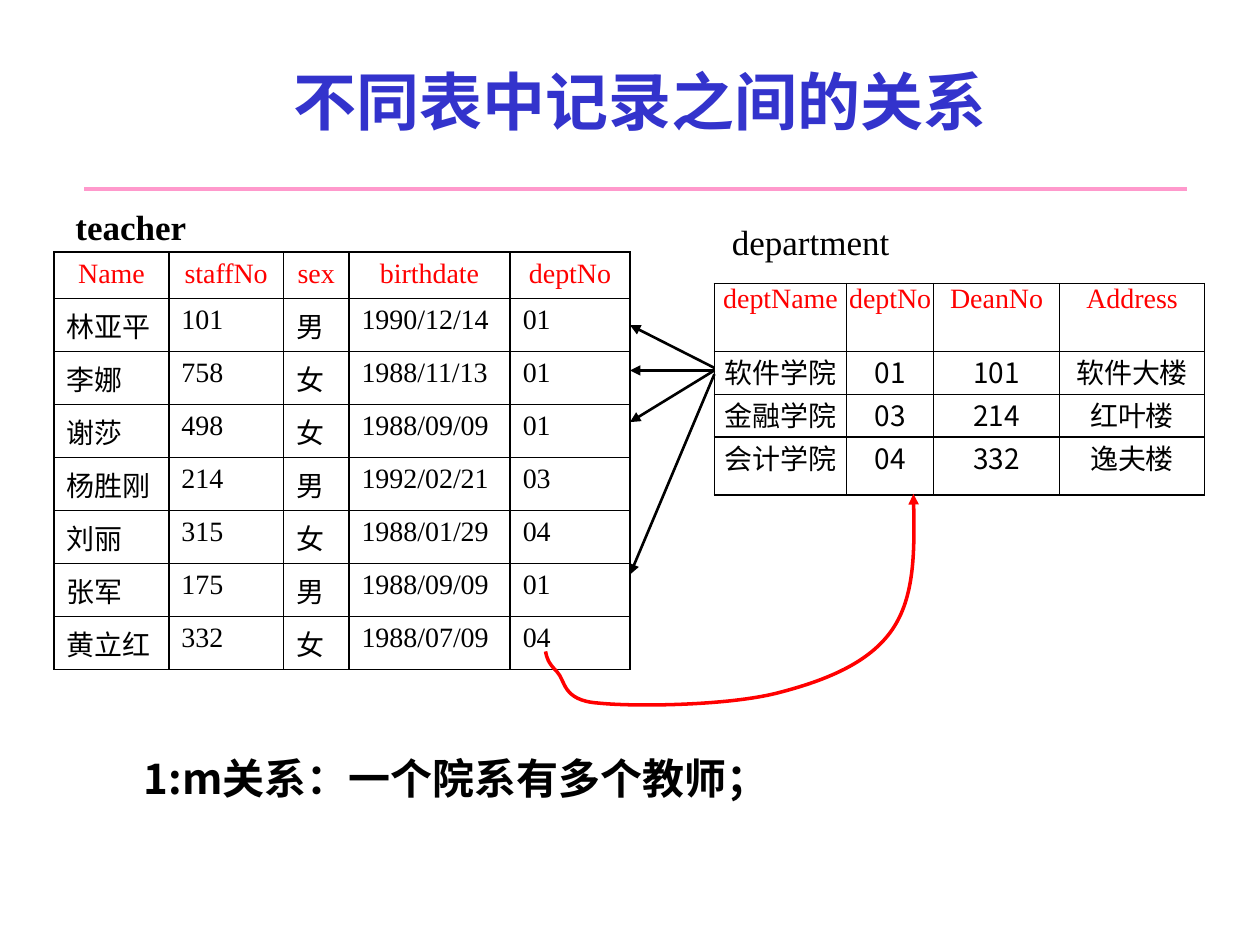
from lxml import etree
from pptx import Presentation
from pptx import util as u
from pptx.dml.color import RGBColor
from pptx.enum import shapes, text
from pptx.oxml import ns

PX = 9144  # EMU per px, 100 px to the inch
COLORS = {"title": "3333CC", "ink": "000000", "red": "FF0000", "rule": "FF99CC"}
SERIF, CJK = "Times New Roman", "Noto Sans CJK SC"
CENTER = text.PP_ALIGN.CENTER

TEACHER = [
    ["Name", "staffNo", "sex", "birthdate", "deptNo"],
    ["林亚平", "101", "男", "1990/12/14", "01"],
    ["李娜", "758", "女", "1988/11/13", "01"],
    ["谢莎", "498", "女", "1988/09/09", "01"],
    ["杨胜刚", "214", "男", "1992/02/21", "03"],
    ["刘丽", "315", "女", "1988/01/29", "04"],
    ["张军", "175", "男", "1988/09/09", "01"],
    ["黄立红", "332", "女", "1988/07/09", "04"],
]
DEPARTMENT = [
    ["deptName", "deptNo", "DeanNo", "Address"],
    ["软件学院", "01", "101", "软件大楼"],
    ["金融学院", "03", "214", "红叶楼"],
    ["会计学院", "04", "332", "逸夫楼"],
]


def px(*values):
    return [u.Emu(value * PX) for value in values]


def rgb(color):
    return RGBColor.from_string(COLORS[color])


def set_all(target, **values):
    for name, value in values.items():
        setattr(target, name, value)


def child(parent, tag, **attributes):
    return etree.SubElement(parent, ns.qn(tag), attributes)


def write(frame, content, size, font=SERIF, color="ink", bold=False, **format):
    para = frame.paragraphs[0]
    set_all(para, **format)
    span = para.add_run()
    span.text = content
    set_all(span.font, size=u.Pt(size), name=font, bold=bold)
    span.font.color.rgb = rgb(color)
    child(span._r.get_or_add_rPr(), "a:ea", typeface=CJK)
    return para


def place(shape, *bounds):
    set_all(shape, **dict(zip(("left", "top", "width", "height"), px(*bounds))))


def add_label(page, content, bounds, **format):
    frame = page.shapes.add_textbox(*px(*bounds)).text_frame
    set_all(frame, word_wrap=True, vertical_anchor=text.MSO_ANCHOR.MIDDLE,
            auto_size=text.MSO_AUTO_SIZE.SHAPE_TO_FIT_TEXT)
    write(frame, content, 20, **format)


def style_line(shape, color, width, end=None):
    shape.line.color.rgb = rgb(color)
    shape.line.width = u.Pt(width)
    if end:
        child(shape.line._get_or_add_ln(), end, type="triangle")


def add_line(page, start, finish, color, width, end=None):
    line = page.shapes.add_connector(shapes.MSO_CONNECTOR.STRAIGHT, *px(*start, *finish))
    style_line(line, color, width, end)
    child(line._element.spPr, "a:effectLst")


def add_curve(page, points):
    """Draw cubic curves through a start point and triples of control points."""
    builder = page.shapes.build_freeform(*points[0], scale=PX)
    builder.add_line_segments(points[1:], close=False)
    curve = builder.convert_to_shape()
    curve.shadow.inherit = False
    curve.fill.background()
    steps = list(curve._element.iter(ns.qn("a:lnTo")))
    outline = steps[0].getparent()
    for first in range(0, len(steps), 3):
        bend = child(outline, "a:cubicBezTo")
        for step in steps[first:first + 3]:
            bend.append(step[0])
            outline.remove(step)
    style_line(curve, "red", 2, "a:tailEnd")


def add_borders(cell):
    properties = cell._tc.get_or_add_tcPr()
    for index, side in enumerate(("a:lnL", "a:lnR", "a:lnT", "a:lnB")):
        border = child(properties, side, w=str(u.Pt(1)))
        child(child(border, "a:solidFill"), "a:srgbClr", val=COLORS["ink"])
        properties.insert(index, border)


def add_records(page, records, corner, widths, heights, margins, body_font, body_align):
    bounds = (*corner, sum(widths), sum(heights))
    table = page.shapes.add_table(len(heights), len(widths), *px(*bounds)).table
    set_all(table, first_row=False, horz_banding=False)
    for column, width in zip(table.columns, px(*widths)):
        column.width = width
    for row, height in zip(table.rows, px(*heights)):
        row.height = height
    side, edge = px(*margins)
    for r, record in enumerate(records):
        for c, value in enumerate(record):
            cell = table.cell(r, c)
            set_all(cell, margin_left=side, margin_right=side,
                    margin_top=edge, margin_bottom=edge)
            cell.fill.background()
            add_borders(cell)
            if r == 0:
                write(cell.text_frame, value, 16, color="red", alignment=CENTER)
            else:
                font = CJK if c == 0 else body_font
                write(cell.text_frame, value, 16, font, alignment=body_align)


def main():
    deck = Presentation()
    deck.slide_width, deck.slide_height = px(1000, 750)
    page = deck.slides.add_slide(deck.slide_layouts[1])

    # Title and the rule below it
    title, body = page.placeholders
    place(title, 83, 17, 850, 125)
    write(title.text_frame, "不同表中记录之间的关系", 36, CJK, "title", True, alignment=CENTER)
    add_line(page, (67, 150), (942, 150), "rule", 2)

    # Statement of the relationship
    place(body, 104, 584, 813, 72)
    body.text_frame.auto_size = text.MSO_AUTO_SIZE.NONE
    para = write(body.text_frame, "1:m关系：一个院系有多个教师；", 24, CJK, bold=True,
                 line_spacing=1.2, space_before=u.Pt(0))
    hanging = para._p.get_or_add_pPr()
    hanging.set("marL", str(68 * PX))
    hanging.set("indent", str(-68 * PX))
    child(hanging, "a:buNone")

    # The two tables and their names
    add_records(page, TEACHER, (43, 200), (91, 91, 52, 128, 95), [37] + [42] * 7,
                (10, 5), SERIF, text.PP_ALIGN.LEFT)
    add_records(page, DEPARTMENT, (567, 225), (105, 69, 100, 115), (54, 34, 34, 46),
                (0, 0), CJK, CENTER)
    add_label(page, "department", (571, 170, 250, 43))
    add_label(page, "teacher", (50, 158, 120, 43), bold=True)

    # One department to its many teachers
    for teacher_y, department_y in ((258, 292), (294, 294), (456, 297), (335, 294)):
        add_line(page, (500, teacher_y), (567, department_y), "ink", 1.5, "a:headEnd")

    # One teacher back to the department
    add_curve(page, [(433, 517),
                     (434, 522), (435, 526), (442, 533),
                     (449, 540), (446, 556), (475, 558),
                     (504, 561), (578, 560), (617, 550),
                     (656, 540), (690, 526), (708, 500),
                     (726, 474), (726, 433), (725, 392)])

    deck.save("out.pptx")


if __name__ == "__main__":
    main()
